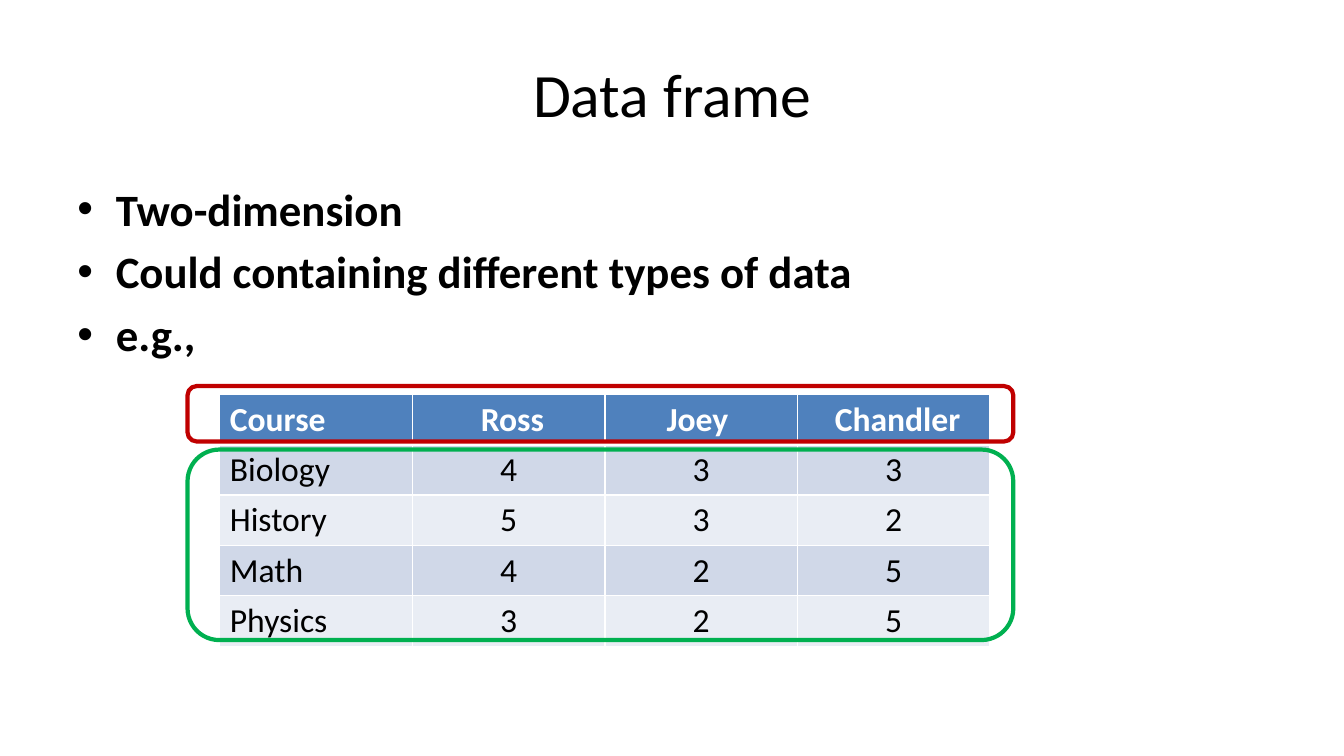
from lxml import etree
from pptx import Presentation
from pptx.dml.color import RGBColor
from pptx.enum.shapes import MSO_SHAPE
from pptx.enum.text import MSO_ANCHOR, PP_ALIGN
from pptx.oxml.ns import qn
from pptx.util import Inches, Pt

LEFT, CENTER = PP_ALIGN.LEFT, PP_ALIGN.CENTER
TOP, MIDDLE = MSO_ANCHOR.TOP, MSO_ANCHOR.MIDDLE
ROUNDED = MSO_SHAPE.ROUNDED_RECTANGLE

COLORS = {
    "black": "000000", "white": "FFFFFF", "header": "4F81BD",
    "odd_row": "D0D8E8", "even_row": "E9EDF4",
    "red": "C00000", "green": "00B050",
}
FONT = "Calibri"

TITLE = "Data frame"
BULLETS = ["Two-dimension", "Could containing different types of data", "e.g.,"]
GRADES = [
    ("Course", "  Ross ", "Joey ", " Chandler"),
    ("Biology", "4", "3", "3"),
    ("History", "5", "3", "2"),
    ("Math", "4", "2", "5"),
    ("Physics", "3", "2", "5"),
]

CONTENT_LEFT, CONTENT_WIDTH = 0.67, 12
TABLE_LEFT, TABLE_TOP = 2.18, 3.91
COLUMN_WIDTH, ROW_HEIGHT = 1.91, 0.5
FRAME_LEFT, FRAME_WIDTH = 1.86, 8.19
FRAMES = [("red", 3.83, 0.55), ("green", 4.46, 1.89)]  # color, top, height


def rgb(name):
    return RGBColor.from_string(COLORS[name])


def write(paragraph, text, size, color="black", bold=False, align=LEFT):
    paragraph.alignment = align
    run = paragraph.add_run()
    run.text = text
    run.font.name = FONT
    run.font.size = Pt(size)
    run.font.bold = bold
    run.font.color.rgb = rgb(color)


def add_text_frame(slide, top, height, anchor=TOP):
    box = slide.shapes.add_textbox(
        Inches(CONTENT_LEFT), Inches(top), Inches(CONTENT_WIDTH), Inches(height))
    box.text_frame.word_wrap = True
    box.text_frame.vertical_anchor = anchor
    return box.text_frame


def make_bullet(paragraph):
    """Give the paragraph a hanging bullet and 20% space before."""
    properties = paragraph._p.get_or_add_pPr()
    properties.set("marL", str(Inches(0.38)))
    properties.set("indent", str(-Inches(0.38)))
    space = etree.SubElement(properties, qn("a:spcBef"))
    etree.SubElement(space, qn("a:spcPct"), val="20000")
    etree.SubElement(properties, qn("a:buFont"), typeface="Arial")
    etree.SubElement(properties, qn("a:buChar"), char="•")


def set_borders(cell, top=1, bottom=1):
    properties = cell._tc.get_or_add_tcPr()
    for side, width in (("L", 1), ("R", 1), ("T", top), ("B", bottom)):
        line = etree.SubElement(properties, qn(f"a:ln{side}"), w=str(Pt(width)))
        fill = etree.SubElement(line, qn("a:solidFill"))
        etree.SubElement(fill, qn("a:srgbClr"), val=COLORS["white"])


def add_grades(slide):
    rows, columns = len(GRADES), len(GRADES[0])
    table = slide.shapes.add_table(
        rows, columns, Inches(TABLE_LEFT), Inches(TABLE_TOP),
        Inches(COLUMN_WIDTH * columns), Inches(ROW_HEIGHT * rows)).table
    for i, values in enumerate(GRADES):
        is_header = i == 0
        fill = "header" if is_header else "odd_row" if i % 2 else "even_row"
        for j, value in enumerate(values):
            cell = table.cell(i, j)
            set_borders(cell, top=3 if i == 1 else 1, bottom=3 if is_header else 1)
            cell.fill.solid()
            cell.fill.fore_color.rgb = rgb(fill)
            write(cell.text_frame.paragraphs[0], value, 24,
                  color="white" if is_header else "black", bold=is_header,
                  align=CENTER if j else LEFT)


def add_frame(slide, color, top, height):
    frame = slide.shapes.add_shape(
        ROUNDED, Inches(FRAME_LEFT), Inches(top), Inches(FRAME_WIDTH), Inches(height))
    frame.shadow.inherit = False
    frame.fill.background()
    frame.line.color.rgb = rgb(color)
    frame.line.width = Pt(3)


def main():
    presentation = Presentation()
    presentation.slide_width = Inches(13.33)
    presentation.slide_height = Inches(7.5)
    slide = presentation.slides.add_slide(presentation.slide_layouts[6])

    title = add_text_frame(slide, 0.3, 1.25, anchor=MIDDLE)
    write(title.paragraphs[0], TITLE, 44, align=CENTER)

    body = add_text_frame(slide, 1.75, 4.95)
    for i, text in enumerate(BULLETS):
        paragraph = body.add_paragraph() if i else body.paragraphs[0]
        write(paragraph, text, 32, bold=True)
        make_bullet(paragraph)

    add_grades(slide)
    for color, top, height in FRAMES:
        add_frame(slide, color, top, height)
    presentation.save("out.pptx")


if __name__ == "__main__":
    main()
